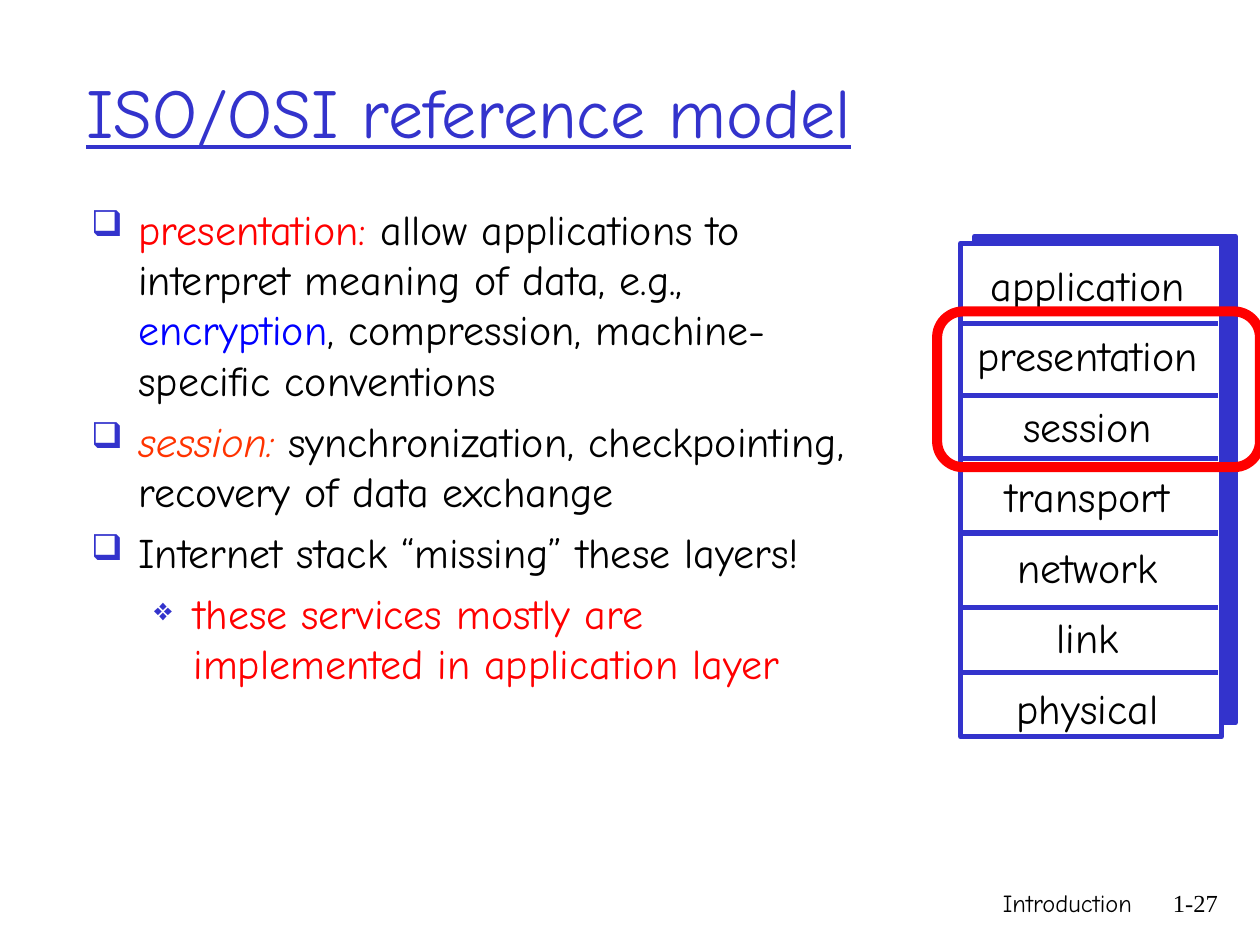
from lxml.etree import SubElement
from pptx import Presentation
from pptx.dml.color import RGBColor
from pptx.enum.shapes import MSO_CONNECTOR, MSO_SHAPE
from pptx.enum.text import MSO_ANCHOR, PP_ALIGN
from pptx.oxml.ns import qn
from pptx.util import Pt

INDIGO = RGBColor(0x33, 0x33, 0xCC)
RED = RGBColor(0xFF, 0x00, 0x00)
ORANGE = RGBColor(0xFF, 0x33, 0x00)
BLUE = RGBColor(0x00, 0x00, 0xFF)
BLACK = RGBColor(0x00, 0x00, 0x00)
WHITE = RGBColor(0xFF, 0xFF, 0xFF)
FONT = "Comic Neue"
NUMBER_FONT = "Times New Roman"

# Bullet character, size in percent, left margin and hanging indent by level
BULLETS = [("❑", 85, 27, 27), ("❖", 75, 58.5, 22.5)]
# Each point: level, then runs of text, colour and italic
POINTS = [
    (0, [("presentation:", RED, False),
         (" allow applications to interpret meaning of data, e.g., ", BLACK, False),
         ("encryption", BLUE, False),
         (", compression, machine-specific conventions", BLACK, False)]),
    (0, [("session:", ORANGE, True),
         (" synchronization, checkpointing, recovery of data exchange", BLACK, False)]),
    (0, [("Internet stack “missing” these layers!", BLACK, False)]),
    (1, [("these services mostly are implemented in application layer", RED, False)]),
]
LAYERS = ["application", "presentation", "session", "transport",
          "network", "link", "physical"]
DIVIDERS = [46, 87, 123, 165.5, 208, 245.5]


def set_font(font, size, color=None, name=FONT):
    font.name = name
    font.size = Pt(size)
    if color is not None:
        font.color.rgb = color


def add_text_box(page, left, top, width, height):
    box = page.shapes.add_textbox(Pt(left), Pt(top), Pt(width), Pt(height))
    box.text_frame.word_wrap = True
    return box.text_frame


def add_panel(page, kind, left, top, width, height, fill, line, weight):
    panel = page.shapes.add_shape(kind, Pt(left), Pt(top), Pt(width), Pt(height))
    panel.shadow.inherit = False
    if fill is None:
        panel.fill.background()
    else:
        panel.fill.solid()
        panel.fill.fore_color.rgb = fill
    panel.line.color.rgb = line
    panel.line.width = Pt(weight)
    return panel


def add_bullet(para, level):
    char, percent, margin, hanging = BULLETS[level]
    props = para._p.get_or_add_pPr()
    props.set("marL", str(Pt(margin)))
    props.set("indent", str(-Pt(hanging)))
    color = SubElement(props, qn("a:buClr"))
    SubElement(color, qn("a:srgbClr"), val=str(INDIGO))
    SubElement(props, qn("a:buSzPct"), val=str(percent * 1000))
    SubElement(props, qn("a:buChar"), char=char)


def place_title(page, left, top, width, height):
    title = page.shapes.title
    title.left, title.top = Pt(left), Pt(top)
    title.width, title.height = Pt(width), Pt(height)
    frame = title.text_frame
    frame.text = "ISO/OSI reference model"
    frame.vertical_anchor = MSO_ANCHOR.MIDDLE
    para = frame.paragraphs[0]
    para.alignment = PP_ALIGN.LEFT
    set_font(para.font, 40, INDIGO)
    para.font.underline = True


def place_points(page, left, top, width, height):
    frame = add_text_box(page, left, top, width, height)
    for index, (level, spans) in enumerate(POINTS):
        para = frame.add_paragraph() if index else frame.paragraphs[0]
        para.level = level
        add_bullet(para, level)
        para.space_before = Pt(6 if index else 0)
        set_font(para.font, 24)
        for text, color, italic in spans:
            span = para.add_run()
            span.text = text
            span.font.color.rgb = color
            if italic:
                span.font.italic = True


def place_stack(page, left, top, width, height):
    # Offset backing and front panel
    add_panel(page, MSO_SHAPE.RECTANGLE, left + 8, top - 4, width, height - 4,
              INDIGO, INDIGO, 3)
    add_panel(page, MSO_SHAPE.RECTANGLE, left, top, width, height,
              WHITE, INDIGO, 3)

    # Layer names
    frame = add_text_box(page, left - 5.5, top + 13.5, width + 7, height - 13)
    for index, layer in enumerate(LAYERS):
        para = frame.add_paragraph() if index else frame.paragraphs[0]
        para.text = layer
        para.alignment = PP_ALIGN.CENTER
        para.line_spacing = 0.7
        para.space_before = Pt(20.15 if index else 0)
        set_font(para.font, 24, BLACK)

    # Dividers between layers
    for offset in DIVIDERS:
        y = Pt(top + offset)
        divider = page.shapes.add_connector(
            MSO_CONNECTOR.STRAIGHT, Pt(left - 1), y, Pt(left + width - 2), y)
        divider.line.color.rgb = INDIGO
        divider.line.width = Pt(3)
        SubElement(divider._element.spPr, qn("a:effectLst"))

    # Frame around the presentation and session layers
    add_panel(page, MSO_SHAPE.ROUNDED_RECTANGLE, left - 13.5, top + 39,
              width + 35.5, 89, None, RED, 5.75)


def place_footer(page, left, top, width, height):
    number_width = 49
    label_width = width - number_width
    for text, x, box_width, font in [
            ("Introduction", left, label_width, FONT),
            ("1-27", left + label_width, number_width, NUMBER_FONT)]:
        para = add_text_box(page, x, top, box_width, height).paragraphs[0]
        para.text = text
        para.alignment = PP_ALIGN.RIGHT
        set_font(para.font, 14, BLACK, font)


def main():
    deck = Presentation()
    deck.slide_width, deck.slide_height = Pt(720), Pt(540)
    page = deck.slides.add_slide(deck.slide_layouts[5])
    place_title(page, 42, 18, 612, 90)
    place_points(page, 45, 112.5, 450, 366)
    place_stack(page, 549, 139, 149, 282)
    place_footer(page, 426, 504, 277, 36)
    deck.save("out.pptx")


if __name__ == "__main__":
    main()
